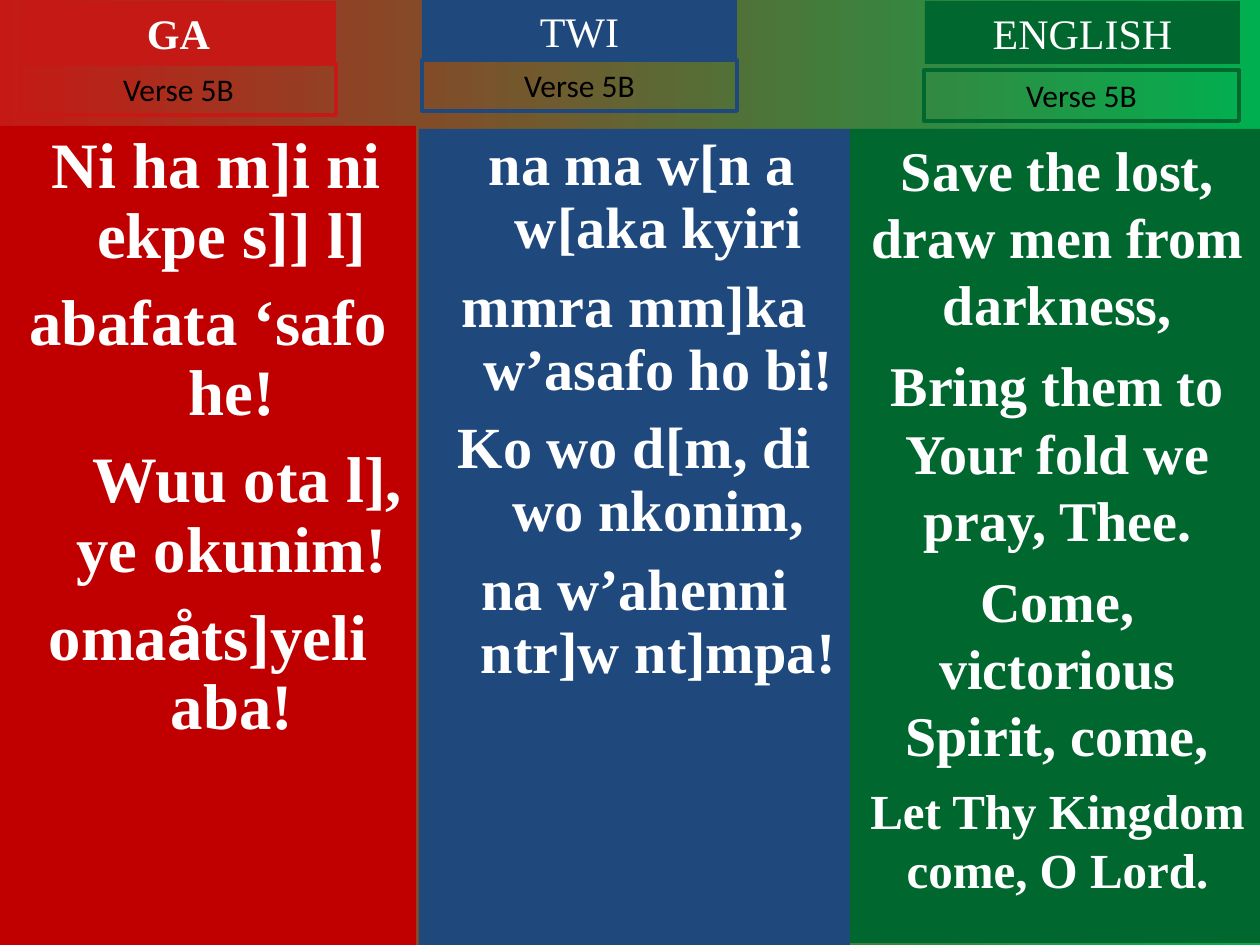
from pptx import Presentation
from pptx.dml.color import RGBColor
from pptx.enum.shapes import MSO_SHAPE
from pptx.enum.text import MSO_ANCHOR, PP_ALIGN
from pptx.util import Pt

RECT = MSO_SHAPE.RECTANGLE
TOP = MSO_ANCHOR.TOP
MID = PP_ALIGN.CENTER
PX = 914400 / 126
SERIF, SANS, ALT = "Times New Roman", "Calibri", "Roboto"
HEX = {
    "red": "C51915", "deep": "C00000", "blue": "1F497D", "green": "00682F",
    "lime": "00B050", "white": "FFFFFF", "black": "000000",
}
HANG = 48  # left margin of the hanging verses
TAG = "Verse 5B"

# Verse lines: (runs, size, space before, first-line indent or None)
GA = [
    (["Ni ha m]i ni ekpe s]] l]"], 37, 0, -32),
    (["abafata ‘safo he!"], 37, 10, -HANG),
    (["Wuu ota l], ye okunim!"], 37, 10, 30),
    (["oma", ("å", ALT), "ts]yeli aba!"], 37, 10, -HANG),
]
TWI = [
    (["na ma w[n a w[aka kyiri"], 33.3, 0, -33),
    (["mmra mm]ka w’asafo ho bi!"], 33.3, 9, -HANG),
    (["Ko wo d[m, di wo nkonim,"], 33.3, 9, -HANG),
    (["na w’ahenni ntr]w nt]mpa!"], 33.3, 9, -HANG),
]
ENGLISH = [
    (["Save the lost, draw men from darkness,"], 32, 0, None),
    (["Bring them to Your fold we pray, Thee."], 32, 8, None),
    (["Come, victorious Spirit, come,"], 32, 8, None),
    (["Let Thy Kingdom come, O Lord."], 28, 7, None),
]

# Columns: title, bold, title colour, body colour, verses,
# body box, title corner, tag corner
COLUMNS = [
    ("GA", True, "red", "deep", GA, (0, 126, 416, 819), (21, 1), (21, 64)),
    ("TWI", False, "blue", "blue", TWI, (419, 129, 431, 816), (422, -1), (422, 60)),
    ("ENGLISH", False, "green", "green", ENGLISH, (850, 129, 415, 814), (925, 1), (924, 70)),
]


def emu(px):
    return round(px * PX)


def rgb(name):
    return RGBColor.from_string(HEX[name])


def add_box(slide, box, fill=None, line=None):
    shape = slide.shapes.add_shape(RECT, *map(emu, box))
    shape.shadow.inherit = False
    if fill:
        shape.fill.solid()
        shape.fill.fore_color.rgb = rgb(fill)
    else:
        shape.fill.background()
    if line:
        shape.line.color.rgb = rgb(line)
        shape.line.width = Pt(2.25)
    else:
        shape.line.fill.background()
    frame = shape.text_frame
    frame.word_wrap = True
    frame.vertical_anchor = TOP
    return frame


def add_run(para, text, size, color, face=SERIF, bold=False):
    run = para.add_run()
    run.text = text
    font = run.font
    font.size, font.name, font.bold = Pt(size), face, bold
    font.color.rgb = rgb(color)


def add_verses(frame, verses):
    for i, (runs, size, gap, indent) in enumerate(verses):
        para = frame.add_paragraph() if i else frame.paragraphs[0]
        para.alignment = MID
        para.space_before = Pt(gap)
        if indent is not None:
            para.line_spacing = 0.9
            props = para._p.get_or_add_pPr()
            props.set("marL", str(emu(HANG)))
            props.set("indent", str(emu(indent)))
        for part in runs:
            text, face = (part, SERIF) if isinstance(part, str) else part
            add_run(para, text, size, "white", face, True)


def add_label(frame, *style):
    para = frame.paragraphs[0]
    para.alignment = MID
    add_run(para, *style)


def main():
    deck = Presentation()
    deck.slide_width, deck.slide_height = emu(1260), emu(945)
    slide = deck.slides.add_slide(deck.slide_layouts[6])

    back = slide.background.fill
    back.gradient()
    back.gradient_angle = 0
    for stop, name in zip(back.gradient_stops, ("red", "lime")):
        stop.color.rgb = rgb(name)

    for title, bold, color, fill, verses, body, head, tag in COLUMNS:
        add_verses(add_box(slide, body, fill), verses)
        add_label(add_box(slide, (*head, 315, 63), color),
                  title, 24, "white", SERIF, bold)
        add_label(add_box(slide, (*tag, 315, 51), line=color),
                  TAG, 18, "black", SANS)

    deck.save("out.pptx")


if __name__ == "__main__":
    main()
